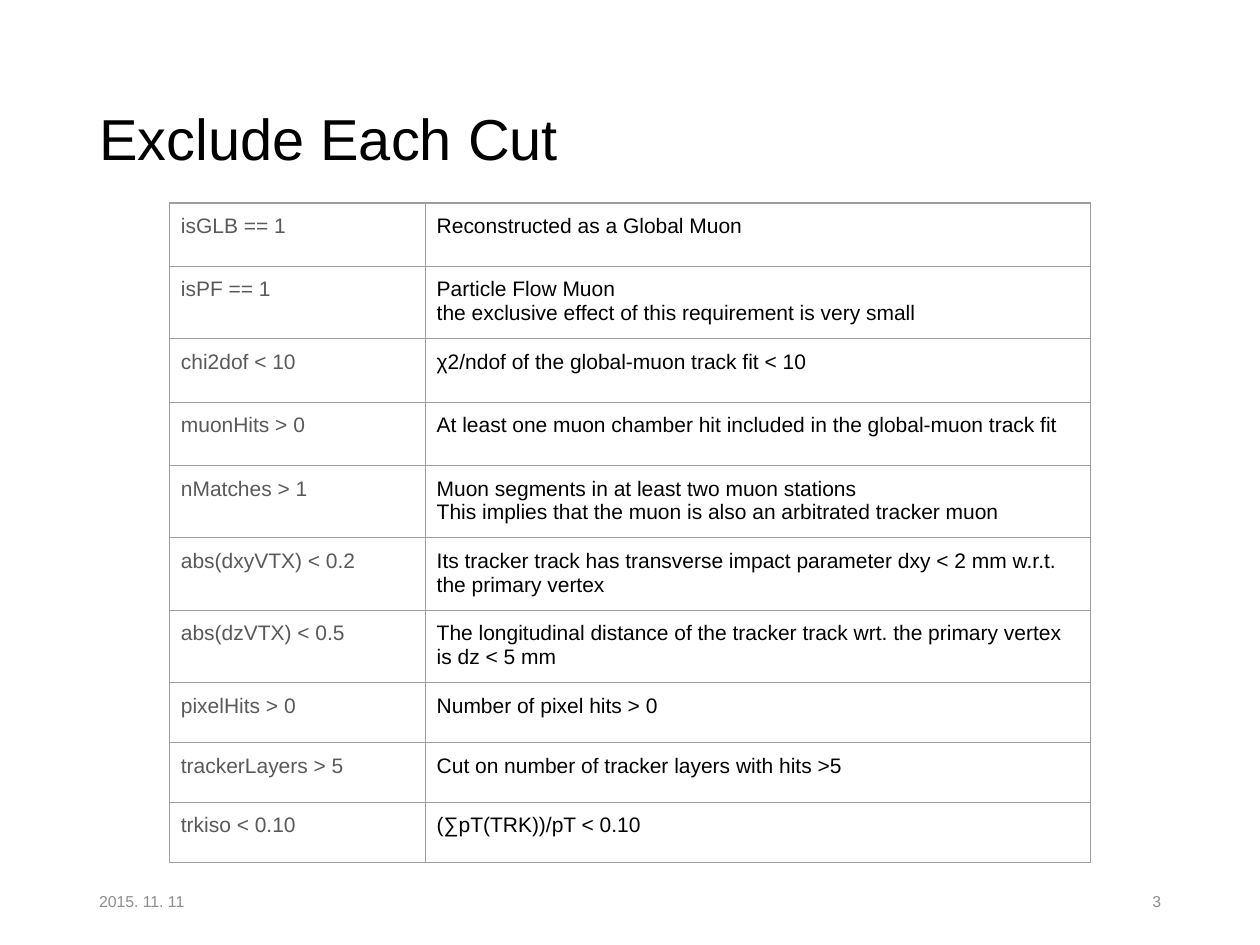
from dataclasses import dataclass

from lxml.etree import SubElement
from pptx import Presentation
from pptx.dml.color import RGBColor as Color
from pptx.enum.text import MSO_ANCHOR as Anchor, PP_ALIGN as Align
from pptx.oxml.ns import qn
from pptx.util import Pt


@dataclass(frozen=True)
class Theme:
    """Colours, font and type sizes of the slide."""
    font: str = "Arial"
    title_size: float = 33
    table_size: float = 12
    footer_size: float = 9
    text: str = "000000"
    cut_name: str = "595959"
    footer: str = "8C8C8C"
    border: str = "9E9E9E"


THEME = Theme()
SHORT, TALL, LOW = 36.2, 41.4, 34.2
COLUMN_WIDTHS = (146.2, 380.2)
CUTS = [
    (SHORT, "isGLB == 1", "Reconstructed as a Global Muon"),
    (TALL, "isPF == 1",
     "Particle Flow Muon\nthe exclusive effect of this requirement is very small"),
    (SHORT, "chi2dof < 10", "χ2/ndof of the global-muon track fit < 10"),
    (SHORT, "muonHits > 0",
     "At least one muon chamber hit included in the global-muon track fit"),
    (TALL, "nMatches > 1",
     "Muon segments in at least two muon stations\n"
     "This implies that the muon is also an arbitrated tracker muon"),
    (TALL, "abs(dxyVTX) < 0.2",
     "Its tracker track has transverse impact parameter dxy < 2 mm w.r.t. "
     "the primary vertex"),
    (TALL, "abs(dzVTX) < 0.5",
     "The longitudinal distance of the tracker track wrt. the primary vertex "
     "is dz < 5 mm"),
    (LOW, "pixelHits > 0", "Number of pixel hits > 0"),
    (LOW, "trackerLayers > 5", "Cut on number of tracker layers with hits >5"),
    (LOW, "trkiso < 0.10", "(∑pT(TRK))/pT < 0.10"),
]


def format_text(text_frame, size, color, align=Align.LEFT):
    """Apply font, size, colour and alignment to all the text of a frame."""
    for paragraph in text_frame.paragraphs:
        paragraph.alignment = align
        for run in paragraph.runs:
            run.font.name = THEME.font
            run.font.size = Pt(size)
            run.font.color.rgb = Color.from_string(color)


def add_title(slide, left, top, width, height, text):
    """Fill the title placeholder and move it to its box."""
    title = slide.shapes.title
    title.left, title.top = Pt(left), Pt(top)
    title.width, title.height = Pt(width), Pt(height)
    title.text_frame.text = text
    title.text_frame.vertical_anchor = Anchor.MIDDLE
    title.text_frame.paragraphs[0].line_spacing = 0.9
    format_text(title.text_frame, THEME.title_size, THEME.text)


def add_borders(cell):
    """Draw a thin line on all four sides of a cell."""
    properties = cell._tc.get_or_add_tcPr()
    for side in ("a:lnL", "a:lnR", "a:lnT", "a:lnB"):
        line = SubElement(properties, qn(side), w=str(Pt(0.75)))
        fill = SubElement(line, qn("a:solidFill"))
        SubElement(fill, qn("a:srgbClr"), val=THEME.border)


def add_cut_table(slide, left, top):
    """Add the table of cuts and their meanings at a corner point."""
    heights = [cut[0] for cut in CUTS]
    table = slide.shapes.add_table(
        len(CUTS), len(COLUMN_WIDTHS), Pt(left), Pt(top),
        Pt(sum(COLUMN_WIDTHS)), Pt(sum(heights))).table
    table.first_row = table.horz_banding = False
    for column, width in zip(table.columns, COLUMN_WIDTHS):
        column.width = Pt(width)
    for row, (height, *texts) in zip(table.rows, CUTS):
        row.height = Pt(height)
        for cell, text, color in zip(row.cells, texts, (THEME.cut_name, THEME.text)):
            cell.text_frame.text = text
            format_text(cell.text_frame, THEME.table_size, color)
            cell.margin_left = cell.margin_right = Pt(6.6)
            cell.margin_top = cell.margin_bottom = Pt(6.6)
            add_borders(cell)
            cell.fill.background()


def add_footer(slide, left, top, width, height, date, number):
    """Add the date at the left end and the page number at the right end."""
    part_width = 162
    parts = ((left, date, Align.LEFT),
             (left + width - part_width, number, Align.RIGHT))
    for part_left, text, align in parts:
        box = slide.shapes.add_textbox(Pt(part_left), Pt(top), Pt(part_width), Pt(height))
        box.text_frame.word_wrap = True
        box.text_frame.vertical_anchor = Anchor.MIDDLE
        box.text_frame.text = text
        format_text(box.text_frame, THEME.footer_size, THEME.footer, align)


def main():
    """Build the slide and save it."""
    presentation = Presentation()
    presentation.slide_width, presentation.slide_height = Pt(720), Pt(540)
    slide = presentation.slides.add_slide(presentation.slide_layouts[5])
    margin, width = 49.5, 621
    add_title(slide, margin, 28.75, width, 104.4, "Exclude Each Cut")
    add_cut_table(slide, 96.8, 116)
    add_footer(slide, margin, 500.5, width, 28.75, "2015. 11. 11", "3")
    presentation.save("out.pptx")


main()
